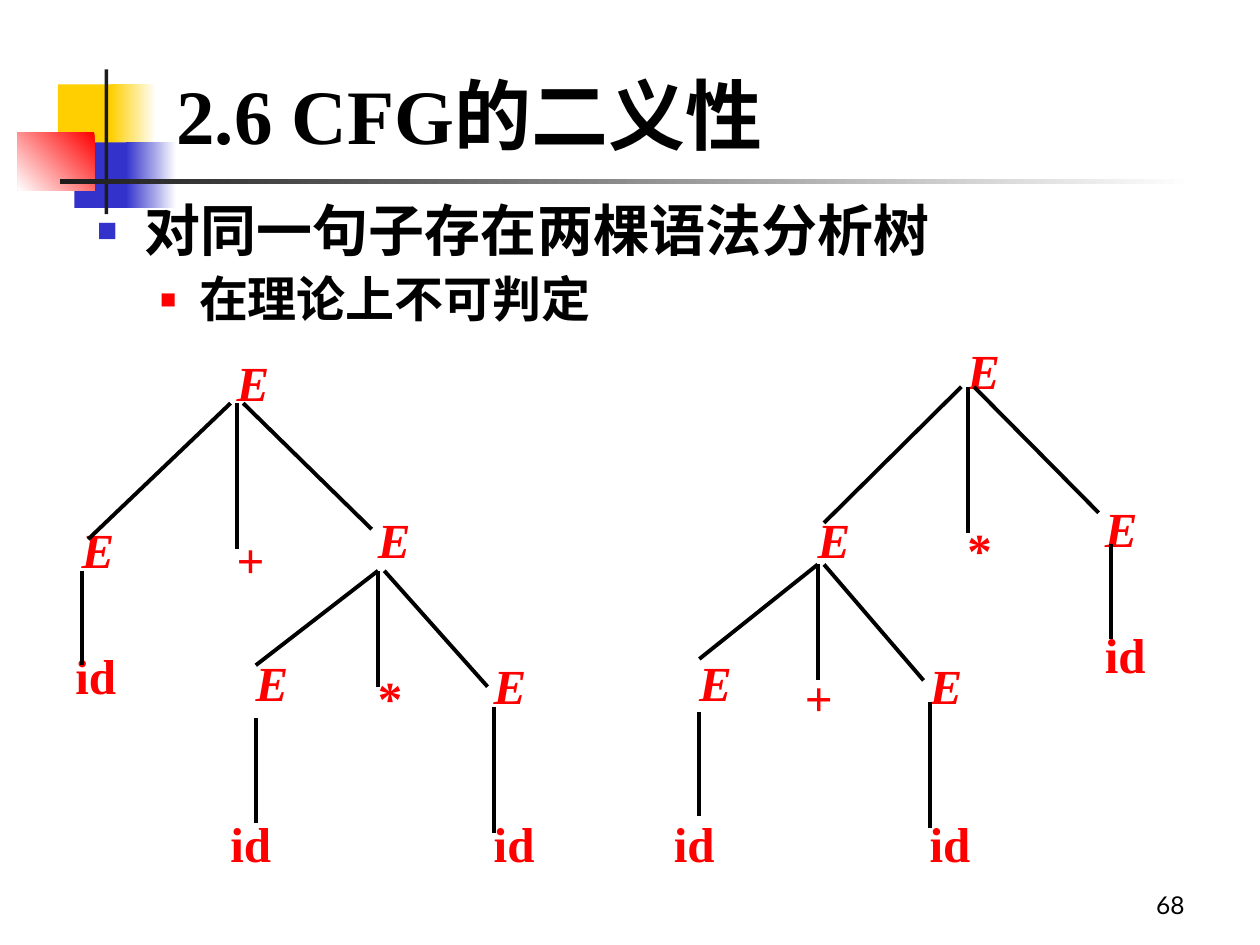
from dataclasses import dataclass

import pptx
import pptx.dml.color
import pptx.enum.shapes
import pptx.enum.text
import pptx.oxml
import pptx.oxml.ns
import pptx.util

Inches = pptx.util.Inches
Pt = pptx.util.Pt
PP_ALIGN = pptx.enum.text.PP_ALIGN
ANCHOR = pptx.enum.text.MSO_ANCHOR
AUTO_SIZE = pptx.enum.text.MSO_AUTO_SIZE

COLOURS = {
    "black": "000000",
    "white": "FFFFFF",
    "yellow": "FFCF01",
    "blue": "3333CC",
    "red": "FF0000",
    "charcoal": "1C1C1C",
}
SERIF = "Times New Roman"
TITLE_FONT = {"name": SERIF, "size": Pt(44), "bold": True}
NODE_FONT = {"name": SERIF, "size": Pt(28), "bold": True}
NUMBER_FONT = {"name": "Lato", "size": Pt(14)}


@dataclass
class Block:
    """A decorative rectangle; with an angle it fades from start to end."""
    left: float
    top: float
    width: float
    height: float
    start: str
    end: str = ""
    angle: float | None = None


@dataclass
class Bullet:
    text: str
    level: int
    size: int
    margin: float
    hanging: float
    space_before: float
    colour: str
    percent: int


@dataclass
class Node:
    text: str
    left: float
    top: float


@dataclass
class Edge:
    x1: float
    y1: float
    x2: float
    y2: float


@dataclass
class Tree:
    node_width: float
    nodes: list[Node]
    edges: list[Edge]


BLOCKS = [
    Block(0.46, 0.67, 0.48, 0.52, "yellow"),
    Block(0.88, 0.67, 0.36, 0.52, "white", "yellow", 180),
    Block(0.59, 1.13, 0.46, 0.52, "blue"),
    Block(1, 1.13, 0.4, 0.52, "white", "blue", 180),
    Block(0.14, 1.05, 0.61, 0.46, "red", "white", 225),
    Block(0.83, 0.55, 0.03, 1.15, "charcoal"),
    Block(0.48, 1.42, 9, 0.04, "white", "charcoal", 180),
]

BULLETS = [
    Bullet("对同一句子存在两棵语法分析树", 0, 32, 0.38, 0.38, 0, "blue", 60),
    Bullet("在理论上不可判定", 1, 28, 0.81, 0.31, 7, "red", 55),
]

PRODUCT_TREE = Tree(
    0.74,
    [
        Node("E", 7.58, 2.61),
        Node("E", 6.39, 3.95), Node("*", 7.58, 4.03), Node("E", 8.67, 3.86),
        Node("id", 8.67, 4.86),
        Node("E", 5.45, 5.08), Node("+", 6.29, 5.2), Node("E", 7.28, 5.11),
        Node("id", 5.25, 6.36), Node("id", 7.28, 6.36),
    ],
    [
        Edge(7.63, 3.07, 6.54, 4.15), Edge(7.68, 3.07, 7.68, 4.23),
        Edge(7.73, 3.07, 8.72, 4.07), Edge(8.82, 4.32, 8.82, 5.07),
        Edge(6.49, 4.48, 5.55, 5.23), Edge(6.49, 4.48, 6.49, 5.4),
        Edge(6.54, 4.48, 7.33, 5.4),
        Edge(5.55, 5.65, 5.55, 6.48), Edge(7.38, 5.57, 7.38, 6.57),
    ],
)

SUM_TREE = Tree(
    0.77,
    [
        Node("E", 1.78, 2.7),
        Node("E", 0.55, 4.03), Node("+", 1.78, 4.11), Node("E", 2.9, 3.95),
        Node("id", 0.5, 5.03),
        Node("E", 1.93, 5.08), Node("*", 2.9, 5.2), Node("E", 3.82, 5.11),
        Node("id", 1.73, 6.36), Node("id", 3.82, 6.36),
    ],
    [
        Edge(1.83, 3.2, 0.7, 4.28), Edge(1.88, 3.2, 1.88, 4.36),
        Edge(1.93, 3.2, 2.95, 4.2), Edge(0.65, 4.53, 0.65, 5.28),
        Edge(3, 4.53, 2.03, 5.28), Edge(3, 4.53, 3, 5.45),
        Edge(3.05, 4.53, 3.87, 5.45),
        Edge(2.03, 5.7, 2.03, 6.53), Edge(3.92, 5.61, 3.92, 6.61),
    ],
)


def rgb(colour: str) -> pptx.dml.color.RGBColor:
    return pptx.dml.color.RGBColor.from_string(COLOURS[colour])


def apply(target, values: dict) -> None:
    for name, value in values.items():
        setattr(target, name, value)


def place(box, left: float, top: float, width: float, height: float) -> None:
    apply(box, {"left": Inches(left), "top": Inches(top),
                "width": Inches(width), "height": Inches(height)})


def add_span(para, text: str, font: dict, colour: str = "black") -> None:
    span = para.add_run()
    span.text = text
    apply(span.font, font)
    span.font.color.rgb = rgb(colour)


def draw_block(shapes, block: Block) -> None:
    box = shapes.add_shape(
        pptx.enum.shapes.MSO_SHAPE.RECTANGLE, Inches(block.left),
        Inches(block.top), Inches(block.width), Inches(block.height))
    box.shadow.inherit = False
    box.line.fill.background()
    if block.angle is None:
        box.fill.solid()
        box.fill.fore_color.rgb = rgb(block.start)
        return
    box.fill.gradient()
    box.fill.gradient_angle = block.angle
    for stop, colour in zip(box.fill.gradient_stops, (block.start, block.end)):
        stop.color.rgb = rgb(colour)


def write_bullet(para, bullet: Bullet) -> None:
    apply(para, {"level": bullet.level, "alignment": PP_ALIGN.JUSTIFY,
                 "line_spacing": 0.9, "space_before": Pt(bullet.space_before)})
    properties = para._p.get_or_add_pPr()
    properties.set("marL", str(Inches(bullet.margin)))
    properties.set("indent", str(-Inches(bullet.hanging)))
    namespace = pptx.oxml.ns.nsdecls("a")
    for xml in (
        f'<a:buClr {namespace}><a:srgbClr val="{COLOURS[bullet.colour]}"/></a:buClr>',
        f'<a:buSzPct {namespace} val="{bullet.percent * 1000}"/>',
        f'<a:buChar {namespace} char="■"/>',
    ):
        properties.append(pptx.oxml.parse_xml(xml))
    add_span(para, bullet.text, {**TITLE_FONT, "size": Pt(bullet.size)})


def draw_node(shapes, node: Node, width: float) -> None:
    box = shapes.add_textbox(Inches(node.left), Inches(node.top),
                             Inches(width), Inches(0.61))
    apply(box.text_frame, {"word_wrap": True,
                           "auto_size": AUTO_SIZE.SHAPE_TO_FIT_TEXT})
    para = box.text_frame.paragraphs[0]
    para.line_spacing = 1.1
    add_span(para, node.text, {**NODE_FONT, "italic": node.text == "E"}, "red")


def draw_edge(shapes, edge: Edge) -> None:
    line = shapes.add_connector(
        pptx.enum.shapes.MSO_CONNECTOR.STRAIGHT, Inches(edge.x1),
        Inches(edge.y1), Inches(edge.x2), Inches(edge.y2))
    line.line.color.rgb = rgb("black")
    line.line.width = Pt(2.25)
    line.element.spPr.append(pptx.oxml.parse_xml(
        f'<a:effectLst {pptx.oxml.ns.nsdecls("a")}/>'))


def draw_tree(page, tree: Tree) -> None:
    group = page.shapes.add_group_shape()
    for node in tree.nodes:
        draw_node(group.shapes, node, tree.node_width)
    for edge in tree.edges:
        draw_edge(group.shapes, edge)


def main() -> None:
    deck = pptx.Presentation()
    deck.slide_width, deck.slide_height = Inches(10), Inches(7.5)
    page = deck.slides.add_slide(deck.slide_layouts[1])
    title, body = page.shapes.title, page.placeholders[1]

    for block in BLOCKS:
        draw_block(page.shapes, block)
    for holder in (title, body):  # bring the text in front of the blocks
        holder.element.getparent().append(holder.element)

    place(title, 1.3, 0.28, 8.5, 1.25)
    apply(title.text_frame, {"vertical_anchor": ANCHOR.MIDDLE,
                             "auto_size": AUTO_SIZE.NONE})
    heading = title.text_frame.paragraphs[0]
    heading.alignment = PP_ALIGN.LEFT
    add_span(heading, "2.6 CFG的二义性", TITLE_FONT)

    place(body, 0.67, 1.56, 8.83, 1.17)
    body.text_frame.auto_size = AUTO_SIZE.NONE
    for index, bullet in enumerate(BULLETS):
        frame = body.text_frame
        write_bullet(frame.add_paragraph() if index else frame.paragraphs[0], bullet)

    for tree in (PRODUCT_TREE, SUM_TREE):
        draw_tree(page, tree)

    number = page.shapes.add_textbox(Inches(7.17), Inches(6.83),
                                     Inches(2.33), Inches(0.52))
    apply(number.text_frame, {"word_wrap": True, "vertical_anchor": ANCHOR.BOTTOM})
    number.text_frame.paragraphs[0].alignment = PP_ALIGN.RIGHT
    add_span(number.text_frame.paragraphs[0], "68", NUMBER_FONT)

    deck.save("out.pptx")


if __name__ == "__main__":
    main()
